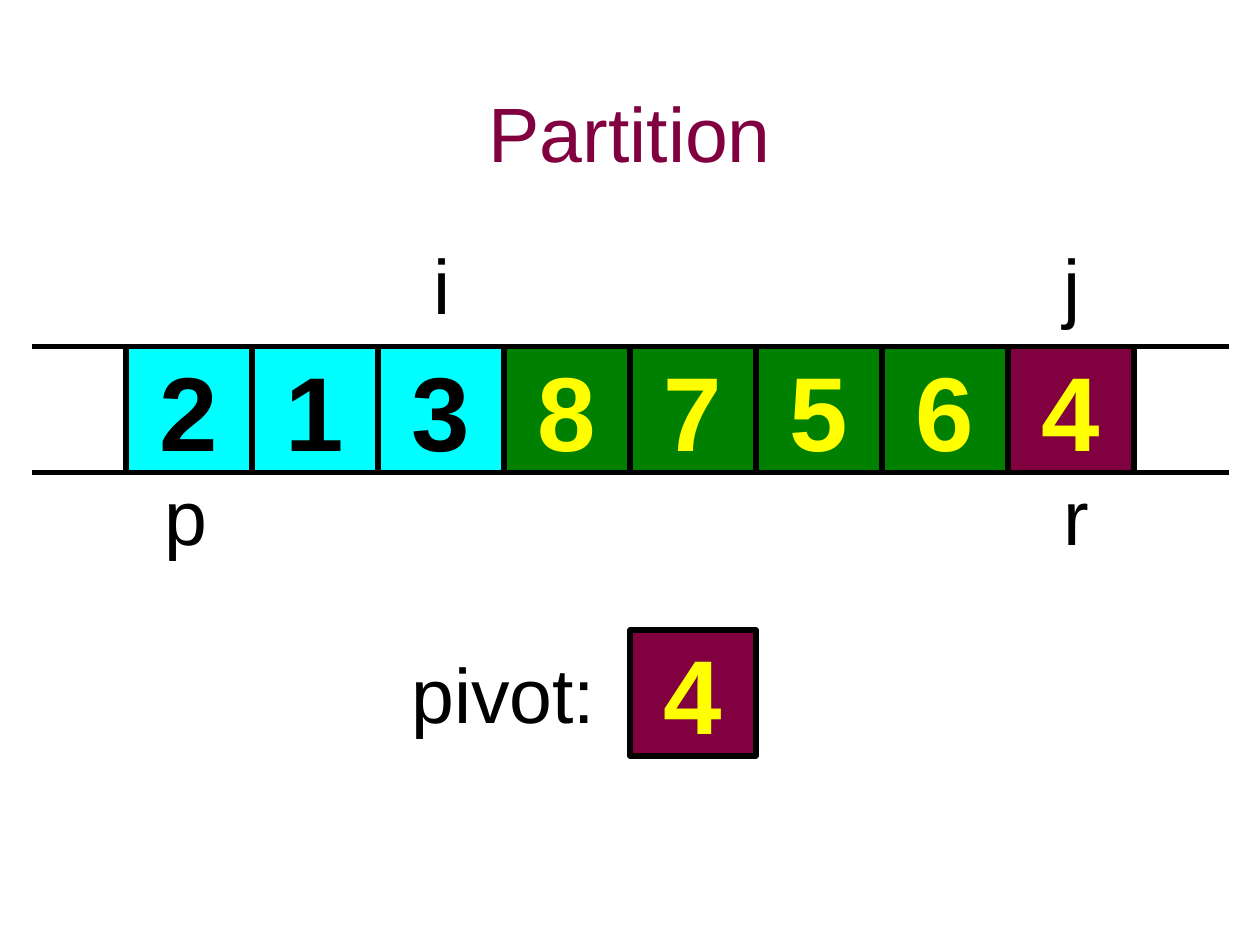
from dataclasses import dataclass

from lxml import etree
from pptx import Presentation
from pptx.dml.color import RGBColor
from pptx.enum.shapes import MSO_CONNECTOR, MSO_SHAPE
from pptx.enum.text import MSO_ANCHOR, MSO_AUTO_SIZE, PP_ALIGN
from pptx.oxml.ns import qn
from pptx.util import Pt

RECT = MSO_SHAPE.RECTANGLE
STRAIGHT = MSO_CONNECTOR.STRAIGHT
MIDDLE = MSO_ANCHOR.MIDDLE
CENTER, LEFT = PP_ALIGN.CENTER, PP_ALIGN.LEFT
GROW, FIXED = MSO_AUTO_SIZE.SHAPE_TO_FIT_TEXT, MSO_AUTO_SIZE.NONE


@dataclass(frozen=True)
class Theme:
    font: str = "Arial"
    black: str = "000000"
    yellow: str = "FFFF00"
    cyan: str = "00FFFF"
    green: str = "008000"
    maroon: str = "800040"
    label_size: int = 44
    cell_size: int = 60
    line_width: int = 3


class Board:
    """Draws array cells, labels and rails on one slide in a shared style."""

    def __init__(self, slide, theme):
        self.slide = slide
        self.theme = theme

    def set_text(self, tf, text, size, color, align, bold=False):
        tf.text = text
        p = tf.paragraphs[0]
        p.alignment = align
        p.font.name = self.theme.font
        p.font.size = Pt(size)
        p.font.bold = bold
        p.font.color.rgb = RGBColor.from_string(color)

    def stroke(self, line):
        line.color.rgb = RGBColor.from_string(self.theme.black)
        line.width = Pt(self.theme.line_width)

    def title(self, text, x, y, w, h):
        sp = self.slide.shapes.title
        sp.left, sp.top, sp.width, sp.height = Pt(x), Pt(y), Pt(w), Pt(h)
        tf = sp.text_frame
        tf.vertical_anchor = MIDDLE
        tf.auto_size = FIXED
        self.set_text(tf, text, self.theme.label_size, self.theme.maroon, CENTER)

    def cell(self, value, x, y, side, fill, color):
        sp = self.slide.shapes.add_shape(RECT, Pt(x), Pt(y), Pt(side), Pt(side))
        sp.shadow.inherit = False
        sp.fill.solid()
        sp.fill.fore_color.rgb = RGBColor.from_string(fill)
        self.stroke(sp.line)
        tf = sp.text_frame
        tf.word_wrap = False
        tf.vertical_anchor = MIDDLE
        self.set_text(tf, str(value), self.theme.cell_size, color, CENTER, bold=True)

    def label(self, text, x, y, w, h=60.5):
        tf = self.slide.shapes.add_textbox(Pt(x), Pt(y), Pt(w), Pt(h)).text_frame
        tf.word_wrap = False
        tf.auto_size = GROW
        self.set_text(tf, text, self.theme.label_size, self.theme.black, LEFT)

    def rail(self, x1, x2, y):
        cxn = self.slide.shapes.add_connector(STRAIGHT, Pt(x1), Pt(y), Pt(x2), Pt(y))
        self.stroke(cxn.line)
        etree.SubElement(cxn._element.spPr, qn("a:effectLst"))


def main():
    prs = Presentation()
    prs.slide_width, prs.slide_height = Pt(720), Pt(540)
    theme = Theme()
    board = Board(prs.slides.add_slide(prs.slide_layouts[5]), theme)
    board.title("Partition", 54, 30, 612, 90)

    side, left, top = 72, 72, 198
    low = (theme.cyan, theme.black)
    high = (theme.green, theme.yellow)
    pivot = (theme.maroon, theme.yellow)
    values = [2, 1, 3, 8, 7, 5, 6, 4]
    styles = [low] * 3 + [high] * 4 + [pivot]
    for i, (value, style) in enumerate(zip(values, styles)):
        board.cell(value, left + i * side, top, side, *style)

    above, below = 132, 264
    for text, x, y, w in [
        ("p", 87, below, 39),
        ("r", 600.5, below, 29),
        ("j", 600.5, above, 24),
        ("i", 240.5, above, 24),
        ("pivot:", 228, 366, 132),
    ]:
        board.label(text, x, y, w)
    board.cell(4, 360, 360, side, *pivot)

    right, overhang = left + len(values) * side, 54
    for y in (top, top + side):
        board.rail(left, left - overhang, y)
        board.rail(right + overhang, right, y)

    prs.save("out.pptx")


if __name__ == "__main__":
    main()
